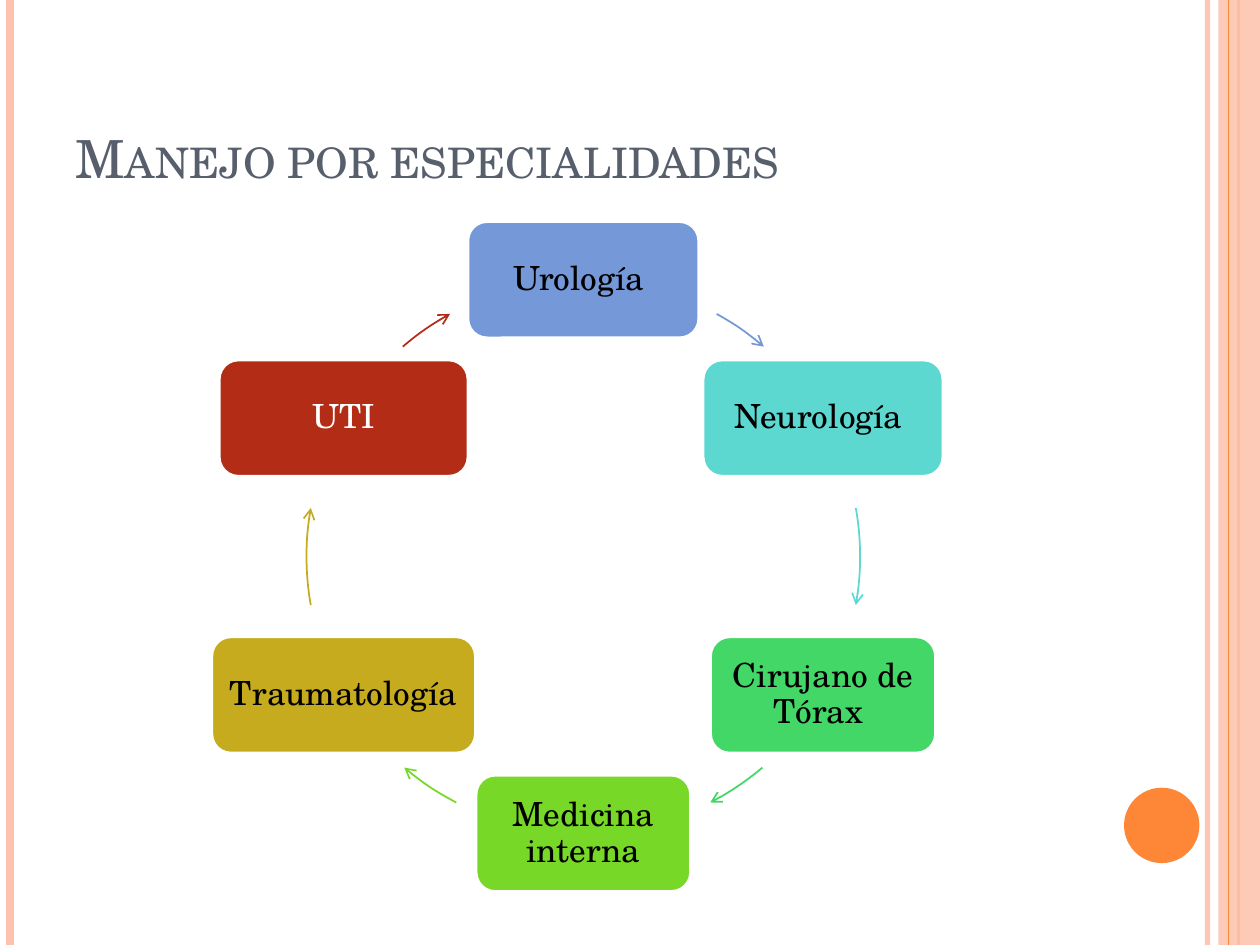
import math
import pptx
import pptx.util
import pptx.dml.color
import pptx.enum.shapes
import pptx.enum.text
import pptx.oxml.ns
from lxml import etree

Cm = pptx.util.Cm
Pt = pptx.util.Pt
RGBColor = pptx.dml.color.RGBColor
Shape = pptx.enum.shapes.MSO_SHAPE
Align = pptx.enum.text.PP_ALIGN
Anchor = pptx.enum.text.MSO_ANCHOR
qn = pptx.oxml.ns.qn

FONT = "TeX Gyre Schola"
WHITE = RGBColor(0xFF, 0xFF, 0xFF)
BLACK = RGBColor(0, 0, 0)
SLATE = RGBColor(0x57, 0x5F, 0x6D)
PEACH = RGBColor(0xFE, 0xC3, 0xAE)
ORANGE = RGBColor(0xFE, 0x86, 0x37)
BLUE = RGBColor(0x75, 0x98, 0xD9)
TEAL = RGBColor(0x5C, 0xD8, 0xD1)
GREEN = RGBColor(0x42, 0xD7, 0x66)
LIME = RGBColor(0x77, 0xD8, 0x27)
GOLD = RGBColor(0xC6, 0xAB, 0x1E)
RED = RGBColor(0xB3, 0x2C, 0x16)

# Label, width in cm, fill, text colour, start and end angle of the next arrow
STEPS = [
    ("Urología ", 4.67, BLUE, BLACK, 28.8, 40.7),
    ("Neurología ", 4.85, TEAL, BLACK, 79.9, 100.1),
    ("Cirujano de Tórax ", 4.55, GREEN, BLACK, 139.7, 152.7),
    ("Medicina interna", 4.34, LIME, BLACK, 207.3, 220.3),
    ("Traumatología ", 5.33, GOLD, BLACK, 259.9, 280.1),
    ("UTI", 5.03, RED, WHITE, 319.3, 331.2),
]


def put_text(shape, text, size=19, color=BLACK, align=Align.CENTER,
             anchor=Anchor.MIDDLE, inset=0.2, space=0.9, caps=False):
    frame = shape.text_frame
    frame.word_wrap = True
    frame.auto_size = pptx.enum.text.MSO_AUTO_SIZE.NONE
    frame.vertical_anchor = anchor
    frame.margin_left = frame.margin_right = Cm(inset)
    frame.margin_top = frame.margin_bottom = Cm(inset)
    para = frame.paragraphs[0]
    para.alignment = align
    para.line_spacing = space
    run = para.add_run()
    run.text = text
    run.font.name = FONT
    run.font.size = Pt(size)
    run.font.color.rgb = color
    if caps:
        run.font._element.set("cap", "small")


def set_alpha(shape, percent):
    color = next(shape._element.spPr.iter(qn("a:srgbClr")))
    etree.SubElement(color, qn("a:alpha"), val=str(percent * 1000))


def add_shape(slide, kind, left, top, width, height, fill):
    shape = slide.shapes.add_shape(kind, Cm(left), Cm(top), Cm(width), Cm(height))
    shape.shadow.inherit = False
    shape.fill.solid()
    shape.fill.fore_color.rgb = fill
    shape.line.fill.background()
    return shape


def add_rule(slide, x, height, color, weight):
    rule = slide.shapes.add_connector(
        pptx.enum.shapes.MSO_CONNECTOR.STRAIGHT, Cm(x), 0, Cm(x), Cm(height))
    rule.line.color.rgb = color
    rule.line.width = Pt(weight)
    etree.SubElement(rule._element.spPr, qn("a:effectLst"))
    return rule


def add_frame(slide, width, height):
    # Stripes along both edges, and the page disc
    set_alpha(add_rule(slide, width - 1.06, height, PEACH, 3), 93)
    add_rule(slide, 0.21, height, PEACH, 4.5)
    add_rule(slide, width - 0.43, height, ORANGE, 1.5)
    band = add_shape(slide, Shape.RECTANGLE, width - 0.84, 0, 0.84, height, PEACH)
    set_alpha(band, 87)
    add_rule(slide, width - 0.64, height, ORANGE, 0.75)
    add_shape(slide, Shape.OVAL, width - 2.74, height - 3.17, 1.52, 1.52, ORANGE)


def add_title(slide, left, top, width, height):
    title = slide.shapes.title
    title.left, title.top = Cm(left), Cm(top)
    title.width, title.height = Cm(width), Cm(height)
    put_text(title, "Manejo por especialidades", size=30, color=SLATE,
             align=Align.LEFT, anchor=Anchor.BOTTOM, inset=0.13, space=1,
             caps=True)
    title.text_frame.margin_left = Cm(0.25)


def add_arc(slide, left, top, size, start, end, color):
    arc = add_shape(slide, Shape.ARC, left, top, size, size, color)
    arc.fill.background()
    # Arc angles run clockwise from the right, in 60000ths of a degree
    for i, angle in enumerate((start, end)):
        arc.adjustments[i] = (angle - 90) % 360 * 0.6
    arc.line.color.rgb = color
    arc.line.width = Pt(1)
    etree.SubElement(arc.line._get_or_add_ln(), qn("a:tailEnd"), type="arrow")


def add_cycle(slide, left, top, size):
    radius = size / 2
    tall = 2.36
    for i, (label, wide, fill, ink, start, end) in enumerate(STEPS):
        # Boxes stand clockwise from the top of the ring
        turn = math.tau * i / len(STEPS)
        x = left + radius * (1 + math.sin(turn))
        y = top + radius * (1 - math.cos(turn))
        box = add_shape(slide, Shape.ROUNDED_RECTANGLE, x - wide / 2,
                        y - tall / 2, wide, tall, fill)
        box.line.color.rgb = WHITE
        box.line.width = Pt(2)
        put_text(box, label, color=ink)
        add_arc(slide, left, top, size, start, end, fill)


def main():
    deck = pptx.Presentation()
    wide, tall = 25.4, 19.05
    deck.slide_width, deck.slide_height = Cm(wide), Cm(tall)
    slide = deck.slides.add_slide(deck.slide_layouts[5])
    add_frame(slide, wide, tall)
    add_title(slide, 1.27, 0.76, 20.75, 3.18)
    add_cycle(slide, 6.18, 5.64, 11.16)
    deck.save("out.pptx")


if __name__ == "__main__":
    main()
